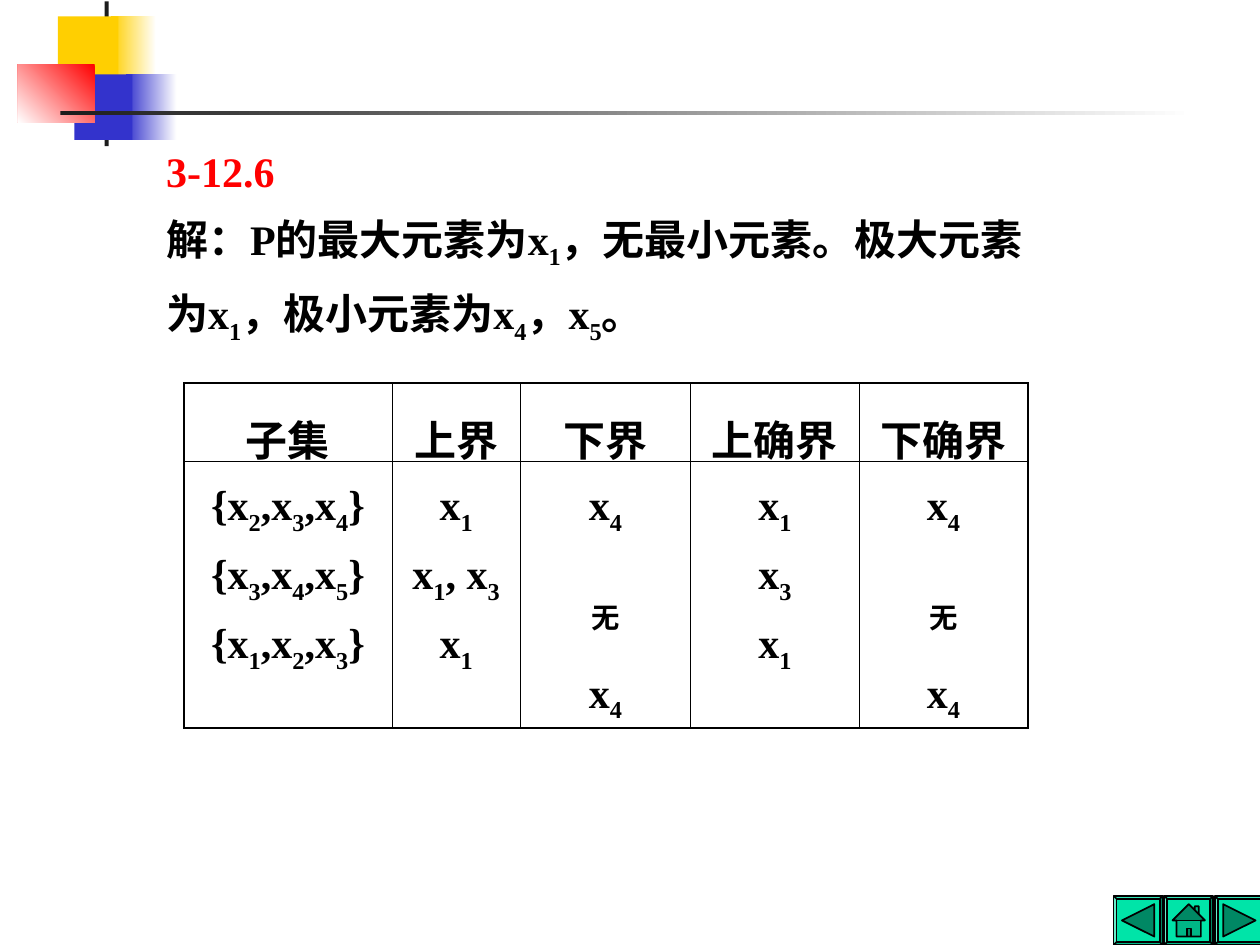
from lxml import etree
from pptx import Presentation
from pptx import util as u
from pptx.dml.color import RGBColor
from pptx.enum import shapes, text
from pptx.oxml.ns import qn

KIND = shapes.MSO_SHAPE
BLACK, WHITE, RED = "000000", "FFFFFF", "FF0000"
GOLD, BLUE, DARK, GREEN = "FFCF01", "3333CC", "1C1C1C", "00E4A8"


def rgb(code):
    return RGBColor.from_string(code)


class Page:
    font, size, lead = "Times New Roman", 24, 1.3
    thick, thin = 1.08, 0.45

    def __init__(self, slide):
        self.slide = slide

    def shape(self, kind, box, fill):
        item = self.slide.shapes.add_shape(kind, *map(u.Cm, box))
        item.shadow.inherit = False
        item.fill.solid()
        item.fill.fore_color.rgb = rgb(fill)
        item.line.fill.background()
        return item

    def fade(self, box, start, end, angle=0):
        """Rectangle with a two-colour gradient; angle is counter-clockwise."""
        item = self.shape(KIND.RECTANGLE, box, start)
        item.fill.gradient()
        item.fill.gradient_angle = angle
        for stop, code in zip(item.fill.gradient_stops, (start, end)):
            stop.color.rgb = rgb(code)

    def button(self, kind, left, top, side, edge):
        """Action button set inside a bevelled frame."""
        inner = side - 2 * edge
        frame = self.shape(KIND.BEVEL, (left, top, side, side), GREEN)
        frame.adjustments[0] = edge / side
        icon = self.shape(kind, (left + edge, top + edge, inner, inner), GREEN)
        for item in (frame, icon):
            item.line.color.rgb = rgb(BLACK)
            item.line.width = u.Pt(1)

    def words(self, frame, lines, align=text.PP_ALIGN.LEFT):
        """Fill a text frame; parts between bars are subscripts."""
        for num, line in enumerate(lines):
            para = frame.paragraphs[0] if num == 0 else frame.add_paragraph()
            para.alignment = align
            para.line_spacing = self.lead
            for pos, part in enumerate(line.split("|")):
                if not part:
                    continue
                run = para.add_run()
                run.text = part
                run.font.name = self.font
                run.font.size = u.Pt(self.size)
                run.font.bold = True
                run.font.color.rgb = rgb(BLACK)
                if pos % 2:
                    run._r.get_or_add_rPr().set("baseline", "-25000")

    def note(self, box, lines):
        frame = self.slide.shapes.add_textbox(*map(u.Cm, box)).text_frame
        frame.word_wrap = True
        self.words(frame, lines)
        return frame

    def border(self, cell, sides):
        props = cell._tc.get_or_add_tcPr()
        for side, outer in sides.items():
            width = u.Pt(self.thick if outer else self.thin)
            line = etree.SubElement(props, qn("a:ln" + side), w=str(width))
            fill = etree.SubElement(line, qn("a:solidFill"))
            etree.SubElement(fill, qn("a:srgbClr"), val=BLACK)

    def table(self, left, top, cols, rows, data):
        box = map(u.Cm, (left, top, sum(cols), sum(rows)))
        table = self.slide.shapes.add_table(len(rows), len(cols), *box).table
        for col, width in zip(table.columns, cols):
            col.width = u.Cm(width)
        for r, (row, height) in enumerate(zip(table.rows, rows)):
            row.height = u.Cm(height)
            for c, cell in enumerate(row.cells):
                self.border(cell, {"L": c == 0, "R": c == len(cols) - 1,
                                   "T": r == 0, "B": r == len(rows) - 1})
                cell.fill.background()
                self.words(cell.text_frame, data[r][c], text.PP_ALIGN.CENTER)
        return table


def main():
    deck = Presentation()
    deck.slide_width, deck.slide_height = u.Cm(25.4), u.Cm(19.05)
    page = Page(deck.slides.add_slide(deck.slide_layouts[6]))

    # Corner blocks and rule
    page.fade((2.24, 0.33, 0.91, 1.32), GOLD, WHITE)
    page.fade((2.54, 1.5, 1.02, 1.32), BLUE, WHITE)
    for box, fill in (((2.11, 0.03, 0.08, 2.92), DARK),
                      ((1.17, 0.33, 1.22, 1.32), GOLD),
                      ((1.5, 1.5, 1.17, 1.32), BLUE)):
        page.shape(KIND.RECTANGLE, box, fill)
    page.fade((0.36, 1.3, 1.55, 1.17), RED, WHITE, 225)
    page.fade((1.22, 2.24, 22.86, 0.08), DARK, WHITE)

    # Navigation
    kinds = (KIND.ACTION_BUTTON_BACK_OR_PREVIOUS, KIND.ACTION_BUTTON_HOME,
             KIND.ACTION_BUTTON_FORWARD_OR_NEXT)
    for num, kind in enumerate(kinds):
        page.button(kind, 22.45 + 1.02 * num, 18.06, 0.99, 0.06)

    # Answer
    frame = page.note((3.1, 2.51, 18.39, 4.6), (
        "3-12.6",
        "解：P的最大元素为x|1|，无最小元素。极大元素为x|1|，极小元素为x|4|，x|5|。"))
    frame.paragraphs[0].runs[0].font.color.rgb = rgb(RED)

    # Bounds of each subset
    heads = [(head,) for head in ("子集", "上界", "下界", "上确界", "下确界")]
    sets = ("{x|2|,x|3|,x|4|}", "{x|3|,x|4|,x|5|}", "{x|1|,x|2|,x|3|}")
    upper = ("x|1|", "x|1|, x|3|", "x|1|")
    lower = ("x|4|", "|无|", "x|4|")
    least = ("x|1|", "x|3|", "x|1|")
    table = page.table(3.71, 7.72, (4.19, 2.59, 3.43, 3.4, 3.4), (1.57, 5.38),
                       (heads, (sets, upper, lower, least, lower)))
    for col in (2, 4):
        none = table.cell(1, col).text_frame.paragraphs[1]
        none.space_after = u.Pt(10.5)
        none.runs[0].font.size = u.Pt(28)

    deck.save("out.pptx")


if __name__ == "__main__":
    main()
